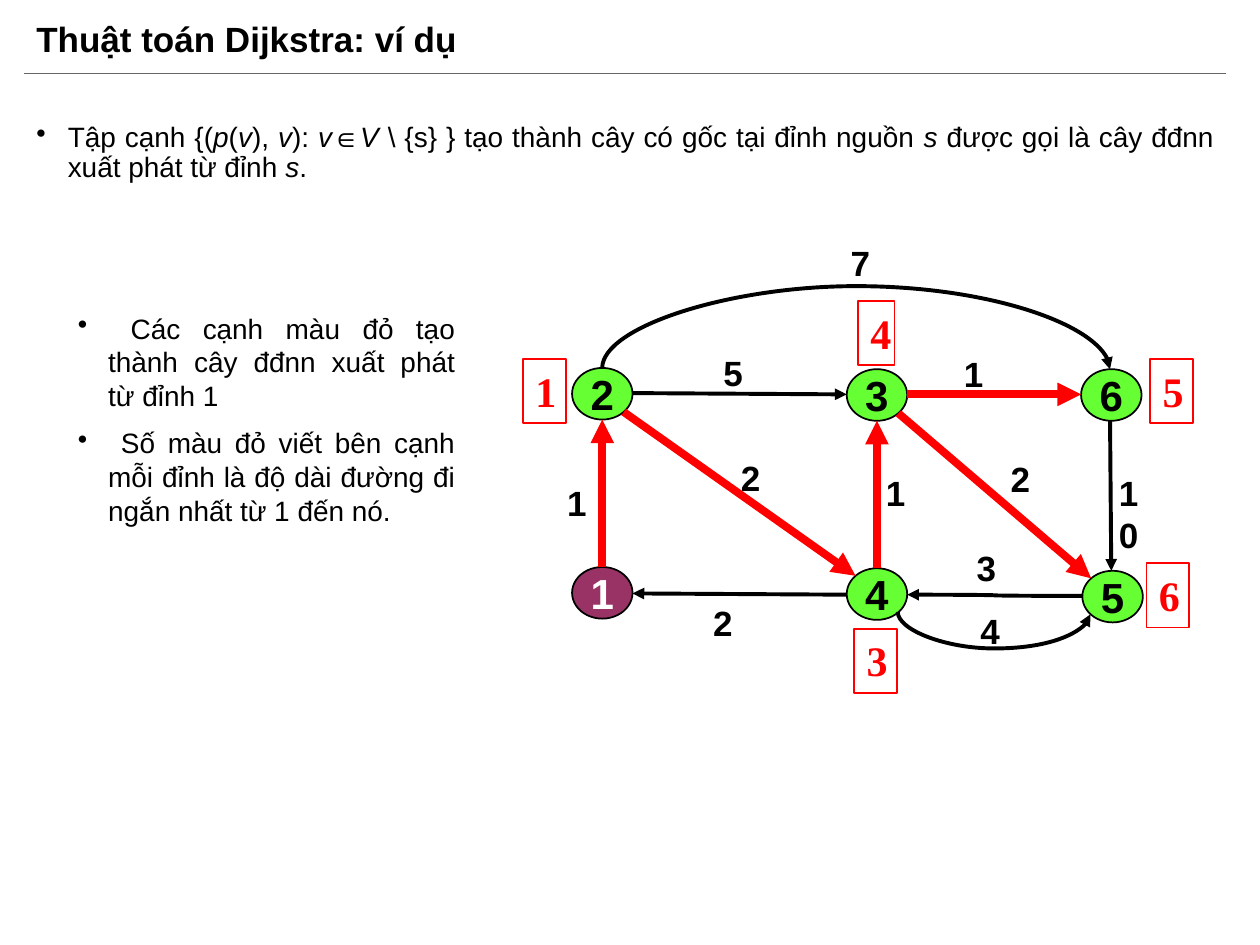
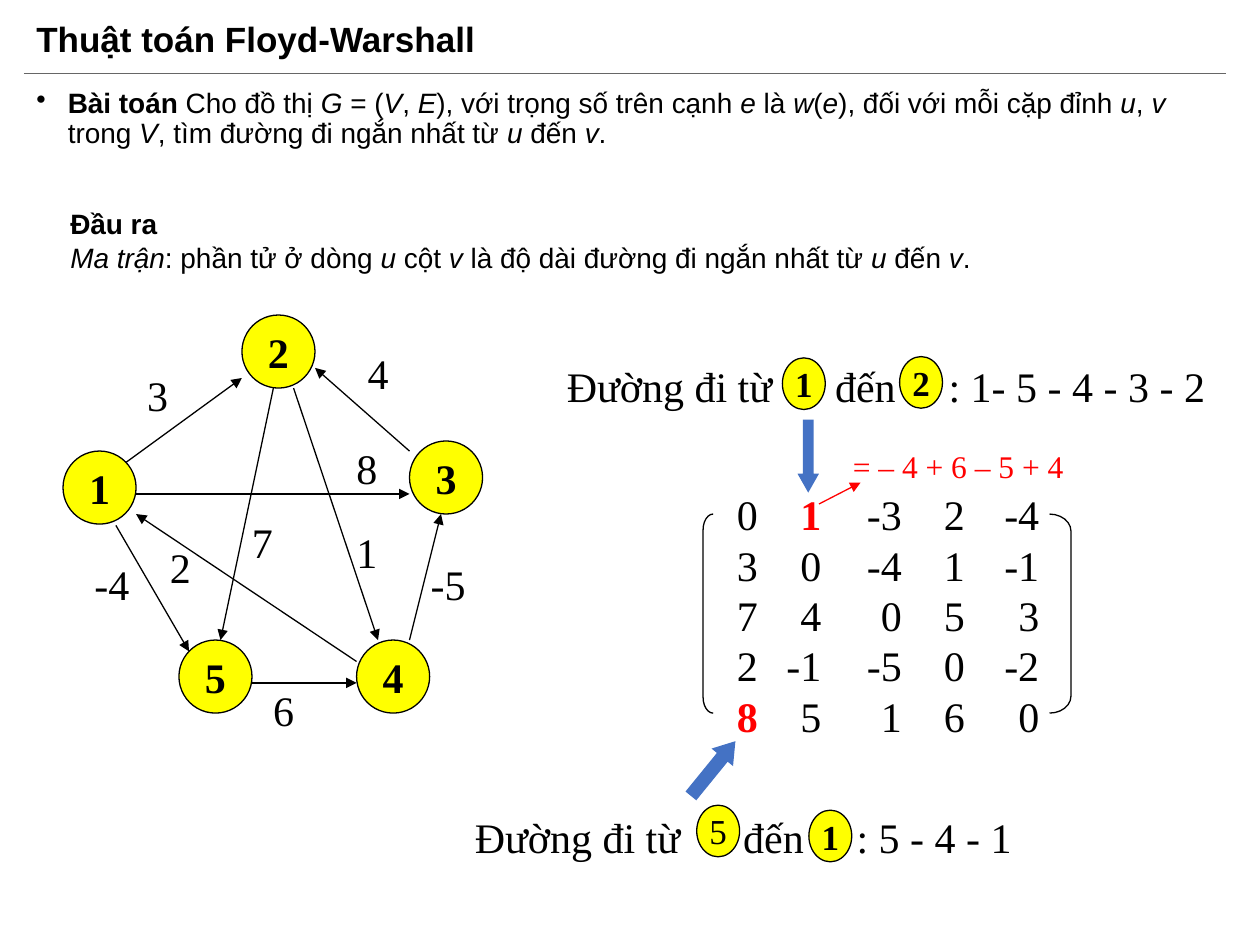
import lxml.etree
import pptx
import pptx.dml.color
import pptx.enum.shapes
import pptx.enum.text
import pptx.oxml.ns
import pptx.util

PX = 9144
SANS, SERIF = "Arial", "Times New Roman"
BLACK, WHITE, RED, BLUE, GREY = "000000", "FFFFFF", "FF0000", "4472C4", "666666"
GREEN, PLUM, YELLOW = "66FF33", "993366", "FFFF00"
SHAPES = pptx.enum.shapes.MSO_SHAPE
CONNECTORS = pptx.enum.shapes.MSO_CONNECTOR
ALIGN = pptx.enum.text.PP_ALIGN
ANCHOR = pptx.enum.text.MSO_ANCHOR


def px(value):
    return pptx.util.Emu(value * PX)


def color(value):
    return pptx.dml.color.RGBColor.from_string(value)


def child(parent, tag, **attributes):
    return lxml.etree.SubElement(parent, pptx.oxml.ns.qn(tag), attributes)


class Deck:
    """Draws styled elements on the current slide; lengths are px, 100 to the inch."""

    def __init__(self):
        self.presentation = pptx.Presentation()
        self.presentation.slide_width = px(1000)
        self.presentation.slide_height = px(750)
        self.slide = None

    def new_slide(self, title):
        self.slide = self.presentation.slides.add_slide(self.presentation.slide_layouts[6])
        self.text([title], 19, 8, 954, 50, size=20, bold=True, spacing=0.9, anchor=ANCHOR.MIDDLE)
        self.line((19, 58), (973, 58), GREY, 0.5, arrow=False)

    def fill_text(self, shape, lines, size=16, font=SANS, ink=BLACK, bold=False, align=ALIGN.LEFT,
                  anchor=ANCHOR.TOP, wrap=True, margin=None, spacing=None, before=0,
                  bullet_indent=0, tabs=(), tab_align="l", accent=None):
        frame = shape.text_frame
        frame.word_wrap = wrap
        frame.vertical_anchor = anchor
        if margin is not None:
            frame.margin_left = frame.margin_right = px(margin)
            frame.margin_top = frame.margin_bottom = px(margin)
        for number, line in enumerate(lines):
            paragraph = frame.add_paragraph() if number else frame.paragraphs[0]
            properties = paragraph._p.get_or_add_pPr()
            if bullet_indent:
                properties.set("marL", str(px(bullet_indent)))
                properties.set("indent", str(-px(bullet_indent)))
                child(properties, "a:buChar", char="•")
            if tabs:
                tab_list = child(properties, "a:tabLst")
                for position in tabs:
                    child(tab_list, "a:tab", pos=str(px(position)), algn=tab_align)
            paragraph.alignment = align
            if spacing:
                paragraph.line_spacing = spacing
            if number and before:
                paragraph.space_before = pptx.util.Pt(before)
            paragraph.font.size = pptx.util.Pt(size)
            paragraph.font.name = font
            paragraph.font.color.rgb = color(ink)
            paragraph.font.bold = bold
            self.runs(paragraph, line, accent)

    def runs(self, paragraph, line, accent):
        for bold_index, chunk in enumerate(line.split("^")):
            for italic_index, piece in enumerate(chunk.split("*")):
                if not piece:
                    continue
                run = paragraph.add_run()
                run.text = piece
                if bold_index % 2:
                    run.font.bold = True
                    if accent:
                        run.font.color.rgb = color(accent)
                if italic_index % 2:
                    run.font.italic = True

    def text(self, lines, left, top, width, height, **style):
        shape = self.slide.shapes.add_textbox(px(left), px(top), px(width), px(height))
        self.fill_text(shape, lines, **style)

    def shape(self, kind, left, top, width, height, fill=None, outline=None, weight=0.75,
              adjustments=(), rotation=0):
        shape = self.slide.shapes.add_shape(kind, px(left), px(top), px(width), px(height))
        shape.shadow.inherit = False
        shape.rotation = rotation
        for index, value in enumerate(adjustments):
            shape.adjustments[index] = value
        if fill:
            shape.fill.solid()
            shape.fill.fore_color.rgb = color(fill)
        else:
            shape.fill.background()
        if outline:
            shape.line.color.rgb = color(outline)
            shape.line.width = pptx.util.Pt(weight)
        else:
            shape.line.fill.background()
        return shape

    def node(self, name, left, top, width, height, fill, weight=0.75, **style):
        shape = self.shape(SHAPES.OVAL, left, top, width, height, fill, BLACK, weight)
        self.fill_text(shape, [name], align=ALIGN.CENTER, anchor=ANCHOR.MIDDLE, wrap=False, **style)
        return shape

    def distance(self, value, left, top, width=34):
        shape = self.shape(SHAPES.RECTANGLE, left, top, width, 51, outline=RED, weight=1)
        self.fill_text(shape, [value], size=24, font=SERIF, ink=RED, bold=True)

    def line(self, start, end, ink=BLACK, weight=0.75, arrow=True, kind=CONNECTORS.STRAIGHT):
        connector = self.slide.shapes.add_connector(kind, *map(px, start + end))
        connector.line.color.rgb = color(ink)
        connector.line.width = pptx.util.Pt(weight)
        if arrow:
            child(connector.line._get_or_add_ln(), "a:tailEnd", type="triangle")
        child(connector._element.spPr, "a:effectLst")
        return connector

    def curve(self, start, end, begin, finish, weight=2.25):
        connector = self.line(start, end, weight=weight, kind=CONNECTORS.CURVE)
        properties = connector._element.nvCxnSpPr.cNvCxnSpPr
        joints = properties.get_or_add_stCxn(), properties.get_or_add_endCxn()
        for joint, (shape, site) in zip(joints, (begin, finish)):
            joint.id, joint.idx = shape.shape_id, site
        return connector

    def arc(self, start, end, crest, begin, finish):
        (x1, y1), (x2, y2) = start, end
        span, rise = x2 - x1, y2 - y1
        left, top = (x1 + x2 - rise) // 2, (y1 + y2 - span) // 2
        connector = self.curve((left, top), (left + rise, top + span), begin, finish)
        properties = connector._element.spPr
        properties.xfrm.set("rot", "5400000")
        properties.xfrm.set("flipV", "1")
        guides = properties.find(".//" + pptx.oxml.ns.qn("a:avLst"))
        bend = round((crest - y1) / rise * 100000)
        child(guides, "a:gd", name="adj1", fmla=f"val {bend}")


def dijkstra_slide(deck):
    deck.new_slide("Thuật toán Dijkstra: ví dụ")
    deck.text(["Tập cạnh {(*p*(*v*), *v*): *v*∈*V *\\ {s} } tạo thành cây có gốc tại đỉnh nguồn "
               "*s *được gọi là cây đđnn xuất phát từ đỉnh *s*."],
              19, 93, 954, 88, align=ALIGN.JUSTIFY, spacing=0.9, bullet_indent=25)

    weights = [("1", 450, 382), ("1", 765, 280), ("2", 588, 362), ("2", 566, 477),
               ("1", 703, 374), ("7", 675, 192), ("5", 574, 279), ("4", 778, 484),
               ("3", 775, 434), ("2", 802, 363)]
    for weight, left, top in weights:
        deck.text([weight], left, top, 15, 33, size=20, bold=True, margin=0, wrap=False)
    deck.text(["10"], 888, 374, 30, 33, size=20, bold=True, margin=0)

    vertices = {"1": (454, 450), "2": (454, 292), "3": (672, 293),
                "4": (672, 451), "6": (858, 293), "5": (859, 453)}
    nodes = {}
    for name, (left, top) in vertices.items():
        source = name == "1"
        nodes[name] = deck.node(name, left, top, 48, 41, PLUM if source else GREEN, 1,
                                size=24, bold=True, ink=WHITE if source else BLACK)

    tree_edges = [((478, 450), (478, 333)), ((696, 451), (696, 334)), ((495, 327), (679, 457)),
                  ((720, 313), (858, 313)), ((713, 328), (866, 459))]
    other_edges = [((502, 312), (672, 313)), ((672, 472), (502, 471)), ((881, 334), (882, 453))]
    for start, end in tree_edges:
        deck.line(start, end, RED, 4.5)
    for start, end in other_edges:
        deck.line(start, end, BLACK, 2.25)
    deck.curve((859, 473), (720, 472), (nodes["5"], 2), (nodes["4"], 6))
    deck.arc((713, 486), (866, 488), 515, (nodes["4"], 5), (nodes["5"], 3))
    deck.arc((478, 292), (881, 293), 226, (nodes["2"], 0), (nodes["6"], 0))

    for value, left, top in [("1", 415, 285), ("3", 678, 499), ("5", 913, 285), ("6", 910, 447)]:
        deck.distance(value, left, top)
    deck.distance("4", 681, 239, width=29)

    deck.text([" Các cạnh màu đỏ tạo thành cây đđnn xuất phát từ đỉnh 1",
               " Số màu đỏ viết bên cạnh mỗi đỉnh là độ dài đường đi ngắn nhất từ 1 đến nó."],
              52, 242, 319, 158, align=ALIGN.JUSTIFY, before=8, bullet_indent=24)


def floyd_warshall_slide(deck):
    deck.new_slide("Thuật toán Floyd-Warshall")
    deck.text(["^Bài toán^ Cho đồ thị *G* = (*V*, *E*), với trọng số trên cạnh *e *là *w*(*e*), "
               "đối với mỗi cặp đỉnh *u*, *v *trong *V*, tìm đường đi ngắn nhất từ *u *đến *v*."],
              19, 66, 954, 88, spacing=0.9, bullet_indent=25)
    deck.text(["^Đầu ra^", "*Ma trận*: phần tử ở dòng *u *cột *v *là độ dài đường đi ngắn nhất "
               "từ *u *đến *v*."], 46, 159, 930, 64)

    vertices = [("2", 192, 250), ("1", 50, 358), ("5", 142, 508), ("3", 325, 350), ("4", 283, 508)]
    for name, left, top in vertices:
        deck.node(name, left, top, 58, 58, YELLOW, size=24, font=SERIF, bold=True)

    edges = [((100, 367), (192, 300)), ((92, 417), (150, 517)), ((200, 542), (283, 542)),
             ((233, 308), (300, 508)), ((108, 392), (325, 392)), ((217, 308), (175, 508)),
             ((283, 525), (108, 408)), ((325, 508), (350, 408)), ((325, 358), (250, 292))]
    for start, end in edges:
        deck.line(start, end)

    weights = [("3", 107, 288), ("4", 282, 271), ("8", 273, 346), ("2", 125, 425), ("-5", 332, 438),
               ("1", 273, 413), ("6", 207, 538), ("7", 190, 405), ("-4", 65, 438)]
    for weight, left, top in weights:
        deck.text([weight], left, top, 48 if len(weight) > 1 else 37, 50,
                  size=24, font=SERIF, wrap=False)

    matrix = ["0 ^1^ -3 2 -4", "3 0 -4 1 -1", "7 4 0 5 3", "2 -1 -5 0 -2", "^8^ 5 1 6 0"]
    deck.text([row.replace(" ", "\t") for row in matrix], 575, 383, 264, 212, size=24, font=SERIF,
              tabs=(67, 131, 181, 240), tab_align="r", accent=RED)
    deck.shape(SHAPES.LEFT_BRACKET, 558, 408, 8, 158, outline=BLACK, adjustments=[1.58])
    deck.shape(SHAPES.RIGHT_BRACKET, 833, 408, 17, 158, outline=BLACK, adjustments=[0.79])

    deck.shape(SHAPES.UP_ARROW, 555, 582, 22, 56, BLUE, adjustments=[0.5, 0.75], rotation=39.1)
    deck.shape(SHAPES.DOWN_ARROW, 633, 333, 17, 58, BLUE, adjustments=[0.5, 0.88])
    deck.text(["= – 4 + 6 – 5 + 4"], 667, 350, 202, 40, size=18, font=SERIF, ink=RED)
    deck.line((650, 400), (683, 383), RED)

    routes = [("1- 5 - 4 - 3 - 2", 440, 281, 540, [("1", 621, 284, True), ("2", 714, 283, True)]),
              ("5 - 4 - 1", 367, 639, 450, [("5", 553, 639, False), ("1", 642, 643, True)])]
    for route, left, top, width, ends in routes:
        deck.text([f"Đường đi từ\tđến\t: {route}"], left, top, width, 51,
                  size=24, font=SERIF, tabs=(213, 303))
        for name, node_left, node_top, bold in ends:
            deck.node(name, node_left, node_top, 34, 41, YELLOW, size=20, font=SERIF, bold=bold)


def main():
    deck = Deck()
    dijkstra_slide(deck)
    floyd_warshall_slide(deck)
    deck.presentation.save("out.pptx")


if __name__ == "__main__":
    main()
